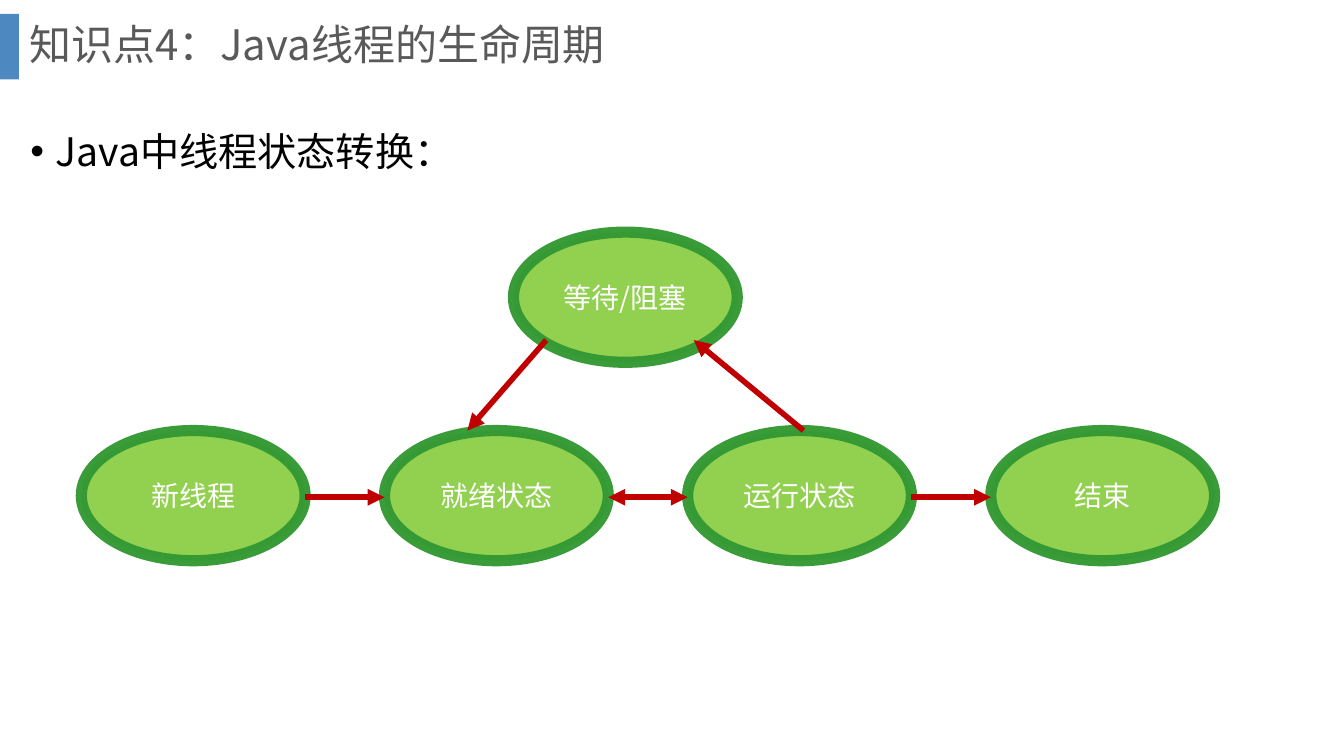
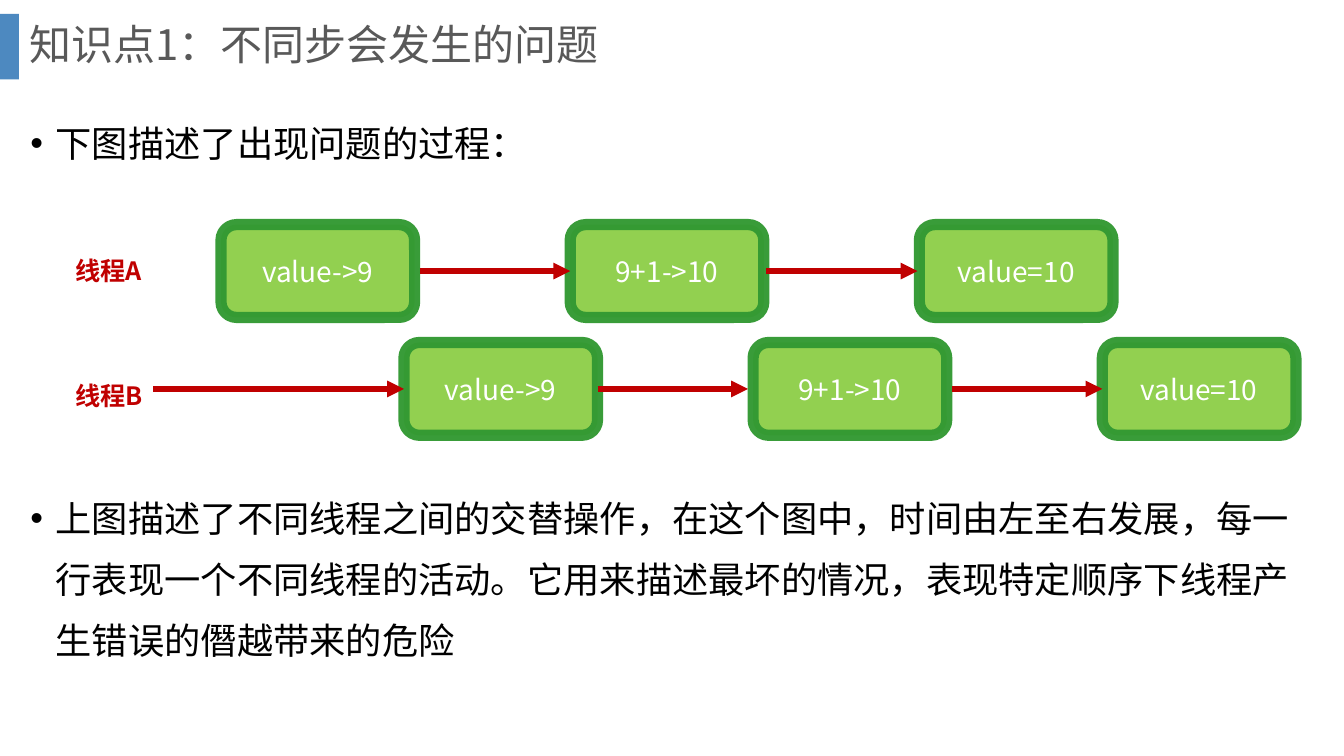
from dataclasses import dataclass
from math import sqrt

from lxml.etree import SubElement
from pptx import Presentation
from pptx.dml.color import RGBColor
from pptx.enum.shapes import MSO_CONNECTOR as Connector
from pptx.enum.shapes import MSO_SHAPE as Preset
from pptx.enum.text import MSO_ANCHOR as Anchor
from pptx.enum.text import MSO_AUTO_SIZE as AutoSize
from pptx.enum.text import PP_ALIGN as Align
from pptx.oxml.ns import qn
from pptx.util import Cm, Pt


@dataclass(frozen=True)
class Theme:
    font: str = "Noto Sans CJK SC"
    accent: str = "2E75B6"
    title: str = "595959"
    body: str = "000000"
    node: str = "92D050"
    border: str = "339933"
    node_text: str = "FFFFFF"
    arrow: str = "C00000"
    title_size: float = 30
    node_size: float = 20
    label_size: float = 18
    border_width: float = 8
    arrow_width: float = 4


THEME = Theme()

LIFECYCLE = {
    "title": "知识点4：Java线程的生命周期",
    "bullets": [("Java中线程状态转换：", 0)],
    "size": 28,
    "spacing": 1.5,
    "states": ["新线程", "就绪状态", "运行状态", "结束"],
    "two_way": [False, True, False],
    "waiting": "等待/阻塞",
}
RACE = {
    "title": "知识点1：不同步会发生的问题",
    "bullets": [
        ("下图描述了出现问题的过程：", 0),
        ("上图描述了不同线程之间的交替操作，在这个图中，时间由左至右发展，"
         "每一行表现一个不同线程的活动。它用来描述最坏的情况，"
         "表现特定顺序下线程产生错误的僭越带来的危险", 224),
    ],
    "size": 25.9,
    "spacing": 1.4,
    "steps": ["value->9", "9+1->10", "value=10"],
    "threads": [
        {"label": "线程A", "label_top": 6.3, "left": 5.57, "top": 5.66,
         "arrow_shifts": [(0.13, 0), (0.05, -0.05)]},
        {"label": "线程B", "label_top": 9.45, "left": 10.18, "top": 8.63,
         "arrow_shifts": [(0, -0.13), (0.13, 0)]},
    ],
}

TITLE_BOX = (0.48, 0, 32.16, 2.36)
BODY_BOX = (0.51, 2.5, 32.77, 15.14)
BAR_BOX = (0, 0.35, 0.48, 1.65)
STATE_LEFT, STATE_TOP, STATE_PITCH = 2.05, 10.85, 7.64
STATE_WIDTH, STATE_HEIGHT = 5.64, 3.28
WAITING_LEFT, WAITING_TOP = 12.94, 5.85
ROW_SHIFT = 0.04
READY_SHIFT, RUNNING_SHIFT = -0.73, 0.1
WAITING_IN, WAITING_OUT = (-0.27, -0.08), (0, -0.08)
STEP_WIDTH, STEP_HEIGHT, STEP_PITCH = 4.88, 2.34, 8.8
LABEL_LEFT, LABEL_WIDTH, LABEL_HEIGHT = 1.65, 4.39, 1.02
THREAD_B_START = 3.86


def add_run(paragraph, text, size, color, bold=False):
    run = paragraph.add_run()
    run.text = text
    font = run.font
    font.size, font.name, font.bold = Pt(size), THEME.font, bold
    font.color.rgb = RGBColor.from_string(color)
    SubElement(font._element, qn("a:ea"), typeface=THEME.font)


def set_opacity(fill_parent, percent):
    color = next(fill_parent.iter(qn("a:srgbClr")))
    SubElement(color, qn("a:alpha"), val=str(percent * 1000))


def place(shape, box):
    shape.left, shape.top, shape.width, shape.height = map(Cm, box)


def add_filled(slide, preset, box, color):
    shape = slide.shapes.add_shape(preset, *map(Cm, box))
    shape.shadow.inherit = False
    shape.fill.solid()
    shape.fill.fore_color.rgb = RGBColor.from_string(color)
    return shape


def prepare_layout(layout, slide):
    title, body = layout.placeholders[0], layout.placeholders[1]
    place(title, TITLE_BOX)
    place(body, BODY_BOX)
    title.text_frame.vertical_anchor = Anchor.MIDDLE
    bar = add_filled(slide, Preset.RECTANGLE, BAR_BOX, THEME.accent)
    bar.line.fill.background()
    set_opacity(bar.element.spPr, 85)
    bar.element.nvSpPr.cNvPr.set("id", "20")
    title.element.addprevious(bar.element)


def fill_text(slide, content):
    title = slide.shapes.title.text_frame
    title.auto_size = AutoSize.NONE
    heading = title.paragraphs[0]
    heading.alignment, heading.line_spacing = Align.LEFT, 0.9
    add_run(heading, content["title"], THEME.title_size, THEME.title)
    body = slide.placeholders[1].text_frame
    body.auto_size = AutoSize.NONE
    for index, (text, gap) in enumerate(content["bullets"]):
        paragraph = body.add_paragraph() if index else body.paragraphs[0]
        properties = paragraph._p.get_or_add_pPr()
        properties.set("marL", str(Cm(0.64)))
        properties.set("indent", str(Cm(-0.64)))
        paragraph.line_spacing = content["spacing"]
        paragraph.space_before = Pt(gap)
        add_run(paragraph, text, content["size"], THEME.body)


def add_node(slide, preset, box, text):
    shape = add_filled(slide, preset, box, THEME.node)
    shape.line.color.rgb = RGBColor.from_string(THEME.border)
    shape.line.width = Pt(THEME.border_width)
    set_opacity(shape.line._ln, 96)
    frame = shape.text_frame
    frame.word_wrap = True
    frame.vertical_anchor = Anchor.MIDDLE
    frame.paragraphs[0].alignment = Align.CENTER
    add_run(frame.paragraphs[0], text, THEME.node_size, THEME.node_text)
    return shape


def add_arrow(slide, start, end, two_way=False):
    arrow = slide.shapes.add_connector(Connector.STRAIGHT, *start, *end)
    arrow.line.color.rgb = RGBColor.from_string(THEME.arrow)
    arrow.line.width = Pt(THEME.arrow_width)
    if two_way:
        SubElement(arrow.line._ln, qn("a:headEnd"), type="triangle")
    SubElement(arrow.line._ln, qn("a:tailEnd"), type="triangle")
    SubElement(arrow.element.spPr, qn("a:effectLst"))
    return arrow


def edge(shape, across, down, shift=(0, 0)):
    return (int(shape.left + shape.width * (1 + across) / 2) + Cm(shift[0]),
            int(shape.top + shape.height * (1 + down) / 2) + Cm(shift[1]))


def draw_lifecycle(slide, content):
    size = (STATE_WIDTH, STATE_HEIGHT)
    waiting = add_node(slide, Preset.OVAL, (WAITING_LEFT, WAITING_TOP, *size),
                       content["waiting"])
    states = [
        add_node(slide, Preset.OVAL,
                 (STATE_LEFT + index * STATE_PITCH, STATE_TOP, *size), text)
        for index, text in enumerate(content["states"])
    ]
    shift = (0, ROW_SHIFT)
    for left, right, two_way in zip(states, states[1:], content["two_way"]):
        add_arrow(slide, edge(left, 1, 0, shift), edge(right, -1, 0, shift), two_way)
    diagonal = 1 / sqrt(2)
    _, ready, running, _ = states
    add_arrow(slide, edge(running, 0, -1, (RUNNING_SHIFT, 0)),
              edge(waiting, diagonal, diagonal, WAITING_IN))
    add_arrow(slide, edge(waiting, -diagonal, diagonal, WAITING_OUT),
              edge(ready, 0, -1, (READY_SHIFT, 0)))


def draw_race(slide, content):
    rows = []
    for thread in content["threads"]:
        row = [
            add_node(slide, Preset.ROUNDED_RECTANGLE,
                     (thread["left"] + index * STEP_PITCH, thread["top"],
                      STEP_WIDTH, STEP_HEIGHT), text)
            for index, text in enumerate(content["steps"])
        ]
        rows.append((row, thread["arrow_shifts"]))
        box = slide.shapes.add_textbox(
            *map(Cm, (LABEL_LEFT, thread["label_top"], LABEL_WIDTH, LABEL_HEIGHT)))
        box.text_frame.word_wrap = True
        add_run(box.text_frame.paragraphs[0], thread["label"], THEME.label_size,
                THEME.arrow, bold=True)
    for row, shifts in rows:
        for left, right, (start, end) in zip(row, row[1:], shifts):
            arrow = add_arrow(slide, edge(left, 1, 0, (start, 0)),
                              edge(right, -1, 0, (end, 0)))
            if not start:
                arrow.begin_connect(left, 3)
            if not end:
                arrow.end_connect(right, 1)
    first = rows[1][0][0]
    target = edge(first, -1, 0)
    arrow = add_arrow(slide, (Cm(THREAD_B_START), target[1]), target)
    arrow.end_connect(first, 1)


def main():
    presentation = Presentation()
    presentation.slide_width, presentation.slide_height = Cm(33.87), Cm(19.05)
    layout = presentation.slide_layouts[1]
    pages = [(LIFECYCLE, draw_lifecycle), (RACE, draw_race)]
    for index, (content, draw) in enumerate(pages):
        slide = presentation.slides.add_slide(layout)
        if index == 0:
            prepare_layout(layout, slide)
        fill_text(slide, content)
        draw(slide, content)
    presentation.save("out.pptx")


if __name__ == "__main__":
    main()
